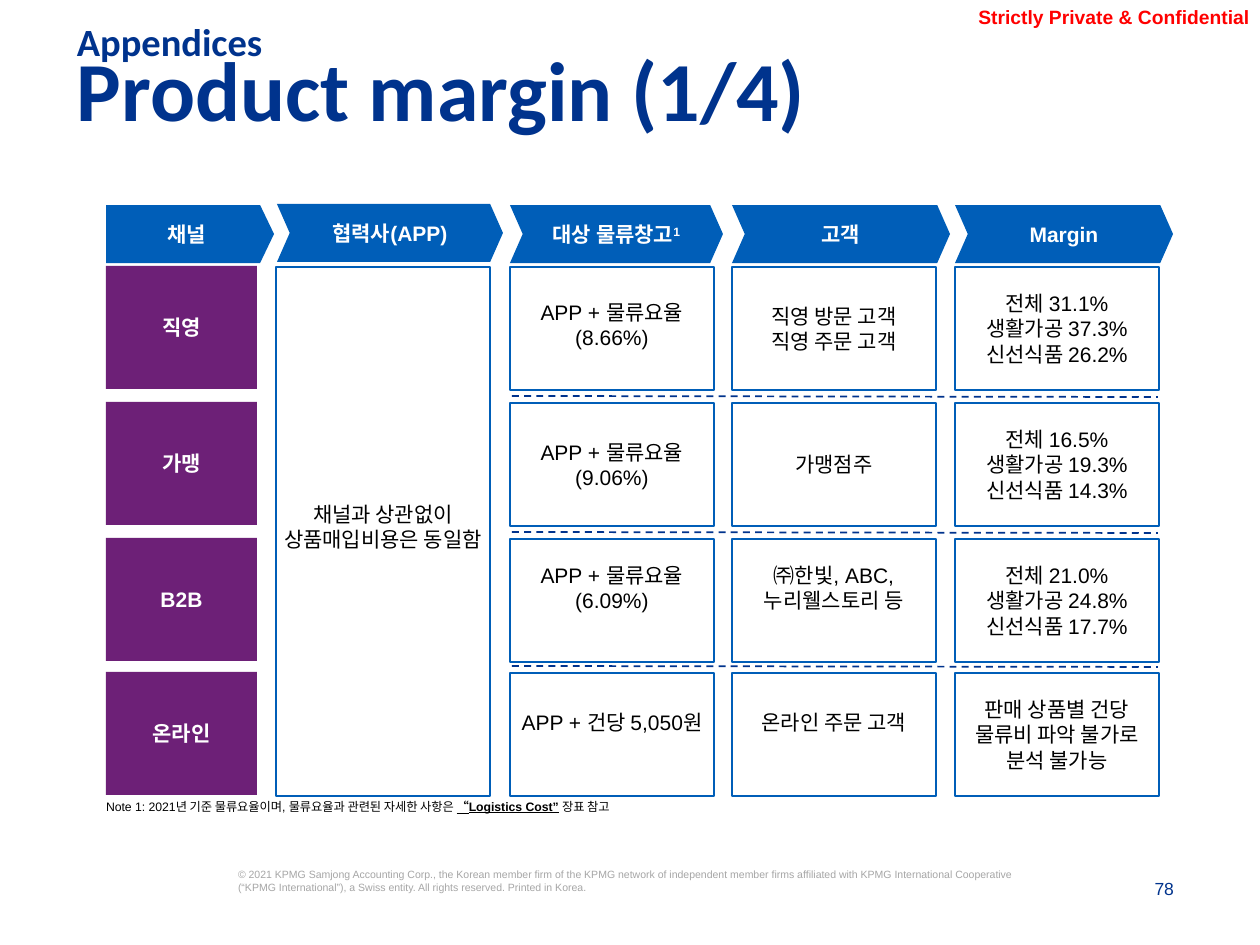
from pptx import Presentation
from pptx.dml.color import RGBColor
from pptx.enum.dml import MSO_LINE
from pptx.enum.shapes import MSO_CONNECTOR, MSO_SHAPE as Shape
from pptx.enum.text import MSO_ANCHOR as Anchor, MSO_AUTO_SIZE, PP_ALIGN as Align
from pptx.oxml.ns import qn
from pptx.util import Pt
from lxml import etree

SCALE = 914400 / 126
COLORS = {
    "navy": "00338D", "blue": "005EB8", "purple": "6D2077", "white": "FFFFFF",
    "black": "000000", "red": "FF0000", "gray": "A6A6A6",
}
ROW_TOPS = (267, 403, 539, 673)
CARD_LEFTS = (510, 732, 955)
CARD_WIDTH, ROW_HEIGHT = 204, 123
HEADERS = (
    ("채널", 106, 205, 168), ("협력사(APP)", 277, 204, 226),
    ("대상 물류창고", 510, 205, 213), ("고객", 732, 205, 218),
    ("Margin", 955, 205, 218),
)
CHANNELS = (
    ("직영", (("APP + 물류요율(8.66%)", 7), ("직영 방문 고객\n직영 주문 고객", 0),
            ("전체 31.1%\n생활가공 37.3%\n신선식품 26.2%", 0))),
    ("가맹", (("APP + 물류요율(9.06%)", 0), ("가맹점주", 0),
            ("전체 16.5%\n생활가공 19.3%\n신선식품 14.3%", 0))),
    ("B2B", (("APP + 물류요율(6.09%)", 25), ("㈜한빛, ABC, 누리웰스토리 등", 25),
             ("전체 21.0%\n생활가공 24.8%\n신선식품 17.7%", 0))),
    ("온라인", (("APP + 건당 5,050원", 25), ("온라인 주문 고객", 25),
             ("판매 상품별 건당 물류비 파악 불가로 분석 불가능", 0))),
)
COPYRIGHT = (
    "© 2021 KPMG Samjong Accounting Corp., the Korean member firm of the KPMG "
    "network of independent member firms affiliated with KPMG International "
    "Cooperative (“KPMG International”), a Swiss entity. All rights reserved. "
    "Printed in Korea."
)


def px(value):
    return round(value * SCALE)


def color(name):
    return RGBColor.from_string(COLORS[name])


def style_font(font, size, tint, bold=False, name="Arial"):
    font.name, font.size, font.bold = name, Pt(size), bold
    font.color.rgb = color(tint)


def write(shape, text, size, tint, bold=False, name="Arial", align=Align.LEFT,
          anchor=Anchor.TOP, insets=(0, 0, 0, 0), wrap=True, spacing=None):
    frame = shape.text_frame
    frame.auto_size = MSO_AUTO_SIZE.NONE
    frame.word_wrap, frame.vertical_anchor = wrap, anchor
    (frame.margin_left, frame.margin_top,
     frame.margin_right, frame.margin_bottom) = map(px, insets)
    frame.text = text
    for para in frame.paragraphs:
        para.alignment = align
        if spacing:
            para.line_spacing = spacing
        style_font(para.font, size, tint, bold, name)
    return frame.paragraphs[0]


def add_label(page, bounds, text, size, tint, **options):
    box = page.shapes.add_textbox(*map(px, bounds))
    return write(box, text, size, tint, **options)


def add_block(page, kind, bounds, fill=None, point=None):
    block = page.shapes.add_shape(kind, *map(px, bounds))
    block.shadow.inherit = False
    if fill:
        block.fill.solid()
        block.fill.fore_color.rgb = color(fill)
        block.line.fill.background()
    else:
        block.fill.background()
        block.line.color.rgb = color("blue")
        block.line.width = Pt(0.75)
    if point is not None:
        block.adjustments[0] = point
    return block


def add_header(page, text, left, top, width, first):
    kind, point = (Shape.PENTAGON, 0.24) if first else (Shape.CHEVRON, 0.22)
    header = add_block(page, kind, (left, top, width, 58), "blue", point)
    return write(header, text, 12, "white", bold=True, align=Align.CENTER,
                 anchor=Anchor.MIDDLE, wrap=False)


def add_channel(page, text, top):
    block = add_block(page, Shape.PENTAGON, (106, top, 151, ROW_HEIGHT), "purple", 0)
    write(block, text, 12, "white", bold=True, align=Align.CENTER,
          anchor=Anchor.MIDDLE, insets=(14, 5, 14, 5))


def add_card(page, bounds, text, lift):
    card = add_block(page, Shape.RECTANGLE, bounds)
    write(card, text, 12, "black", align=Align.CENTER, anchor=Anchor.MIDDLE,
          insets=(6, 6, 6, 6 + lift))


def add_divider(page, top):
    line = page.shapes.add_connector(
        MSO_CONNECTOR.STRAIGHT, *map(px, (512, top, 1158, top + 1)))
    line.line.color.rgb = color("navy")
    line.line.width = Pt(1)
    line.line.dash_style = MSO_LINE.DASH
    etree.SubElement(line._element.spPr, qn("a:effectLst"))


def add_titles(page):
    heading = {"bold": True, "name": "Calibri", "insets": (13, 6, 13, 6), "spacing": 0.7}
    title = page.shapes.title
    title.left, title.top, title.width, title.height = map(px, (64, 59, 1184, 100))
    write(title, "Product margin (1/4)", 48, "navy", **heading)
    add_label(page, (64, 25, 1184, 38), "Appendices", 22, "navy", **heading)


def add_note(page):
    para = add_label(page, (106, 799, 610, 15), "", 7, "black")
    parts = (("Note 1: 2021년 기준 물류요율이며, 물류요율과 관련된 자세한 사항은 ", False),
             ("“Logistics Cost”", True), (" 장표 참고", False))
    for text, strong in parts:
        span = para.add_run()
        span.text = text
        style_font(span.font, 7, "black", strong)
        span.font.underline = strong


def add_furniture(page):
    add_label(page, (940, -1, 315, 34), "Strictly Private & Confidential", 11, "red",
              bold=True, align=Align.RIGHT, anchor=Anchor.BOTTOM, insets=(0, 5, 5, 5))
    add_label(page, (238, 868, 801, 53), COPYRIGHT, 6, "gray")
    add_label(page, (1009, 879, 165, 20), "78", 10, "navy",
              align=Align.RIGHT, anchor=Anchor.BOTTOM)


def main():
    deck = Presentation()
    deck.slide_width, deck.slide_height = px(1260), px(945)
    page = deck.slides.add_slide(deck.slide_layouts[5])
    add_furniture(page)
    add_titles(page)
    for index, (text, left, top, width) in enumerate(HEADERS):
        para = add_header(page, text, left, top, width, index == 0)
        if text == "대상 물류창고":
            mark = para.add_run()
            mark.text = "1"
            style_font(mark.font, 12, "white", True)
            mark._r.get_or_add_rPr().set("baseline", "30000")
    add_card(page, (276, ROW_TOPS[0], 214, ROW_TOPS[-1] + ROW_HEIGHT - ROW_TOPS[0]),
             "채널과 상관없이 상품매입비용은 동일함", 10)
    for top, (channel, cards) in zip(ROW_TOPS, CHANNELS):
        add_channel(page, channel, top - 1)
        for left, (text, lift) in zip(CARD_LEFTS, cards):
            add_card(page, (left, top, CARD_WIDTH, ROW_HEIGHT), text, lift)
    for top in ROW_TOPS[1:]:
        add_divider(page, top - 7)
    add_note(page)
    deck.save("out.pptx")


if __name__ == "__main__":
    main()
